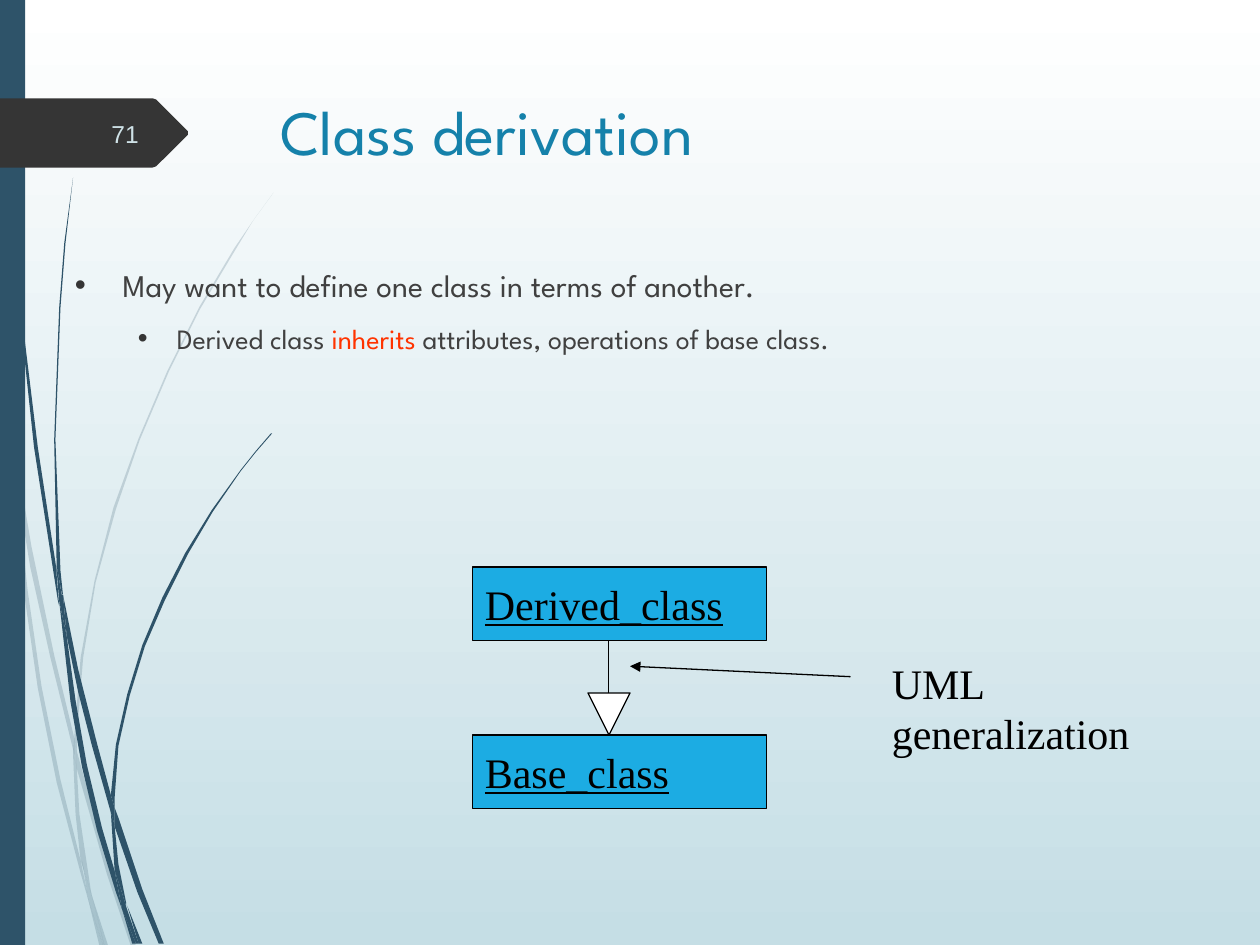
from lxml import etree
from pptx import Presentation
from pptx.dml.color import RGBColor
from pptx.enum.shapes import MSO_CONNECTOR, MSO_SHAPE
from pptx.enum.text import MSO_ANCHOR, PP_ALIGN
from pptx.oxml.ns import qn
from pptx.util import Inches, Pt

RECT, TRIANGLE = MSO_SHAPE.RECTANGLE, MSO_SHAPE.ISOSCELES_TRIANGLE
STRAIGHT = MSO_CONNECTOR.STRAIGHT
TOP, MIDDLE = MSO_ANCHOR.TOP, MSO_ANCHOR.MIDDLE
LEFT, RIGHT = PP_ALIGN.LEFT, PP_ALIGN.RIGHT

WHITE = RGBColor(0xFF, 0xFF, 0xFF)
BLACK = RGBColor(0, 0, 0)
SKY = RGBColor(0xC5, 0xDE, 0xE5)
NAVY = RGBColor(0x2E, 0x53, 0x69)
CHARCOAL = RGBColor(0x35, 0x35, 0x35)
GRAY = RGBColor(0x40, 0x40, 0x40)
TEAL = RGBColor(0x15, 0x81, 0xAA)
RED = RGBColor(0xFF, 0x33, 0x00)
ICE = RGBColor(0xCF, 0xE2, 0xE7)
CYAN = RGBColor(0x1C, 0xAC, 0xE3)
HEADING, SERIF, SANS = "League Spartan", "Times New Roman", "Arial"

prs = Presentation()
prs.slide_width, prs.slide_height = Inches(10), Inches(7.5)
CELL = prs.slide_width / 120
slide = prs.slides.add_slide(prs.slide_layouts[6])
shapes = slide.shapes

backdrop = slide.background.fill
backdrop.gradient()
backdrop.gradient_angle = 270
for stop, color in zip(backdrop.gradient_stops, (WHITE, SKY)):
    stop.color.rgb = color


def draw_outline(corners, color, opacity=100):
    points = [(Inches(x), Inches(y)) for x, y in corners]
    builder = shapes.build_freeform(*points[0])
    builder.add_line_segments(points[1:], close=True)
    outline = builder.convert_to_shape()
    outline.shadow.inherit = False
    outline.fill.solid()
    outline.fill.fore_color.rgb = color
    outline.line.fill.background()
    if opacity < 100:
        tint = outline.fill._xPr.find(".//" + qn("a:srgbClr"))
        etree.SubElement(tint, qn("a:alpha")).set("val", str(opacity * 1000))


def write(frame, paragraphs, font, size, anchor=TOP, align=LEFT, wrap=True):
    frame.word_wrap = wrap
    frame.vertical_anchor = anchor
    for index, runs in enumerate(paragraphs):
        paragraph = frame.paragraphs[0] if index == 0 else frame.add_paragraph()
        paragraph.alignment = align
        for words, color in runs:
            run = paragraph.add_run()
            run.text = words
            run.font.name, run.font.size = font, Pt(size)
            run.font.color.rgb = color


PALE_BLADES = [
    [(0.08, 3.5), (0.06, 3.22), (0, 2.82), (0, 2.99), (0.07, 3.44)],
    [(0.4, 5.22), (0.59, 5.99), (0.59, 5.86), (0.43, 5.2), (0.25, 4.34), (0.1, 3.45),
     (0.12, 3.76), (0.24, 4.5)],
    [(0.64, 6.07), (0.61, 5.96), (0.61, 6.1), (0.85, 6.94), (1.04, 7.51), (1.08, 7.51),
     (0.88, 6.92)],
    [(0.83, 7.51), (0.86, 7.51), (0.73, 7.11)],
    [(0.64, 6.83), (0.48, 6.19), (0.33, 5.45), (0.22, 4.69), (0.12, 3.76), (0.08, 3.5),
     (0.19, 4.7), (0.3, 5.46), (0.45, 6.21), (0.64, 6.93), (0.7, 7.14), (0.69, 7.07)],
    [(0.58, 5.99), (0.6, 6.46), (0.64, 6.83), (0.67, 6.92), (0.73, 7.11), (0.72, 7.06),
     (0.63, 6.46), (0.61, 6.1), (0.61, 6.08)],
    [(0.61, 5.84), (0.66, 5.22), (0.76, 4.62), (0.92, 4.04), (1.11, 3.49), (1.34, 2.95),
     (1.59, 2.45), (1.87, 1.98), (2.01, 1.75), (2.17, 1.53), (2.01, 1.75), (1.86, 1.97),
     (1.58, 2.44), (1.33, 2.94), (1.1, 3.48), (0.9, 4.03), (0.75, 4.61), (0.64, 5.22),
     (0.59, 5.84), (0.59, 5.86), (0.61, 5.96)],
    [(0.7, 7.14), (0.79, 7.51), (0.82, 7.51)],
    [(0.61, 6.08), (0.61, 6.1), (0.61, 5.96), (0.59, 5.86), (0.58, 5.99)],
    [(0.67, 6.92), (0.65, 6.83), (0.69, 7.07), (0.7, 7.14), (0.82, 7.51), (0.83, 7.51),
     (0.73, 7.11)],
]
DARK_BLADES = [
    [(0.05, 1.1), (0.14, 2.33), (0.27, 3.55), (0.46, 4.77), (0.47, 4.81), (0.45, 4.57),
     (0.45, 4.53), (0.3, 3.55), (0.15, 2.32), (0.06, 1.09), (0.04, 0.48), (0.03, 0),
     (0.02, 0), (0.03, 0.48)],
    [(0.73, 5.92), (0.88, 6.45), (0.88, 6.33), (0.88, 6.31), (0.77, 5.9), (0.62, 5.31),
     (0.5, 4.72), (0.53, 5.05), (0.62, 5.49)],
    [(0.94, 6.49), (0.91, 6.41), (0.91, 6.56), (1.09, 7.08), (1.26, 7.49), (1.3, 7.49),
     (1.13, 7.06)],
    [(0.91, 6.91), (0.81, 6.57), (0.69, 6.07), (0.6, 5.56), (0.53, 5.05), (0.47, 4.77),
     (0.56, 5.57), (0.65, 6.08), (0.77, 6.59), (0.92, 7.08), (0.97, 7.22), (0.96, 7.17)],
    [(0.5, 4.72), (0.48, 4.53), (0.44, 3.49), (0.48, 2.44), (0.52, 1.93), (0.58, 1.41),
     (0.51, 1.93), (0.47, 2.44), (0.43, 3.49), (0.45, 4.49), (0.49, 4.71)],
    [(1.1, 7.49), (1.13, 7.49), (1.01, 7.19)],
    [(0.47, 4.77), (0.53, 5.05), (0.5, 4.72), (0.49, 4.72), (0.45, 4.49), (0.45, 4.53)],
    [(0.91, 6.33), (0.94, 5.92), (1.03, 5.52), (1.15, 5.13), (1.31, 4.76), (1.49, 4.4),
     (1.69, 4.06), (1.91, 3.74), (2.03, 3.59), (2.16, 3.44), (2.15, 3.44), (2.03, 3.58),
     (1.91, 3.73), (1.68, 4.05), (1.47, 4.39), (1.29, 4.74), (1.13, 5.12), (1.01, 5.51),
     (0.92, 5.91), (0.88, 6.31), (0.91, 6.41)],
    [(0.97, 7.22), (1.05, 7.49), (1.08, 7.49)],
    [(0.88, 6.45), (0.91, 6.91), (0.96, 7.06), (1, 7.19), (1, 7.16), (0.94, 6.86),
     (0.91, 6.56), (0.9, 6.51)],
    [(0.88, 6.45), (0.9, 6.51), (0.91, 6.56), (0.91, 6.41), (0.88, 6.31), (0.88, 6.33)],
    [(0.96, 7.06), (0.91, 6.91), (0.96, 7.17), (0.97, 7.22), (1.08, 7.49), (1.1, 7.49),
     (1, 7.19)],
]
PAGE_TAG = [(1.49, 1.07), (1.24, 1.32), (1.21, 1.33), (0, 1.33), (0, 0.78), (1.21, 0.78),
            (1.24, 0.79), (1.49, 1.04)]
for opacity, blades in ((20, PALE_BLADES), (100, DARK_BLADES)):
    for blade in blades:
        draw_outline(blade, NAVY, opacity)

blocks = []
for preset, place, fill, outlined in (
    (RECT, (0, 0, 2.4, 90), NAVY, False),
    (RECT, (45, 54, 28, 7), CYAN, True),
    (RECT, (45, 70, 28, 7), CYAN, True),
    (TRIANGLE, (56, 66, 4, 4), WHITE, True),
):
    block = shapes.add_shape(preset, *(round(cell * CELL) for cell in place))
    block.shadow.inherit = False
    block.fill.solid()
    block.fill.fore_color.rgb = fill
    if outlined:
        block.line.color.rgb = BLACK
        block.line.width = Pt(0.75)
    else:
        block.line.fill.background()
    blocks.append(block)
side_bar, derived_class, base_class, generalization_head = blocks
generalization_head.rotation = 180
draw_outline(PAGE_TAG, CHARCOAL)

for class_box, class_name in ((derived_class, "Derived_class"), (base_class, "Base_class")):
    write(class_box.text_frame, [[(class_name, BLACK)]], SERIF, 24, MIDDLE, wrap=False)
    class_box.text_frame.paragraphs[0].runs[0].font.underline = True

for ends, pointed in (((57.97, 66, 57.97, 61), False), ((81, 64.45, 60, 63.45), True)):
    link = shapes.add_connector(STRAIGHT, *(round(cell * CELL) for cell in ends))
    link.line.color.rgb = BLACK
    link.line.width = Pt(0.75)
    if pointed:
        etree.SubElement(link.line._get_or_add_ln(), qn("a:tailEnd")).set("type", "triangle")
    etree.SubElement(link._element.spPr, qn("a:effectLst"))

title, page_number, uml_label, points = [
    shapes.add_textbox(*(round(cell * CELL) for cell in place)).text_frame
    for place in ((25.5, 8.2, 86.5, 16.8), (6.7, 10.3, 7.7, 4.8),
                  (83.75, 62, 25.1, 10.8), (5.95, 24.75, 107.3, 29.3))
]
write(title, [[("Class derivation", TEAL)]], HEADING, 36)
write(page_number, [[("71", ICE)]], SANS, 14, MIDDLE, RIGHT)
write(uml_label, [[("UML", BLACK)], [("generalization", BLACK)]], SERIF, 24, wrap=False)
write(points, [
    [("May want to define one class in terms of another.", GRAY)],
    [("Derived class ", GRAY), ("inherits", RED),
     (" attributes, operations of base class.", GRAY)],
], HEADING, 18)
for level, (point, margin, hang, size) in enumerate(
        zip(points.paragraphs, (0.38, 0.81), (0.38, 0.31), (18, 16))):
    point.level = level
    properties = point._p.get_or_add_pPr()
    properties.set("marL", str(Inches(margin)))
    properties.set("indent", str(-Inches(hang)))
    bullet_color = etree.SubElement(properties, qn("a:buClr"))
    etree.SubElement(bullet_color, qn("a:srgbClr")).set("val", str(CHARCOAL))
    etree.SubElement(properties, qn("a:buFont")).set("typeface", SANS)
    etree.SubElement(properties, qn("a:buChar")).set("char", "•")
    for run in point.runs:
        run.font.size = Pt(size)
    if level:
        point.space_before = Pt(10)

prs.save("out.pptx")
